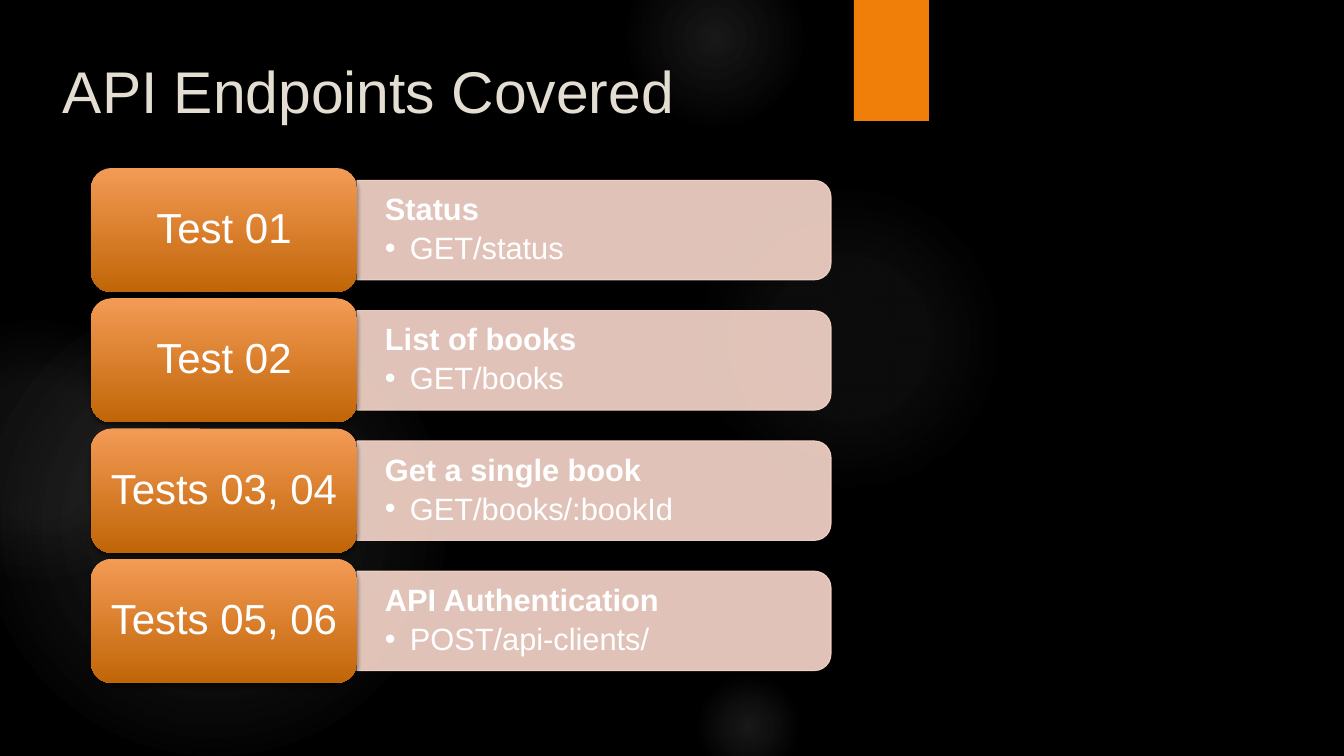
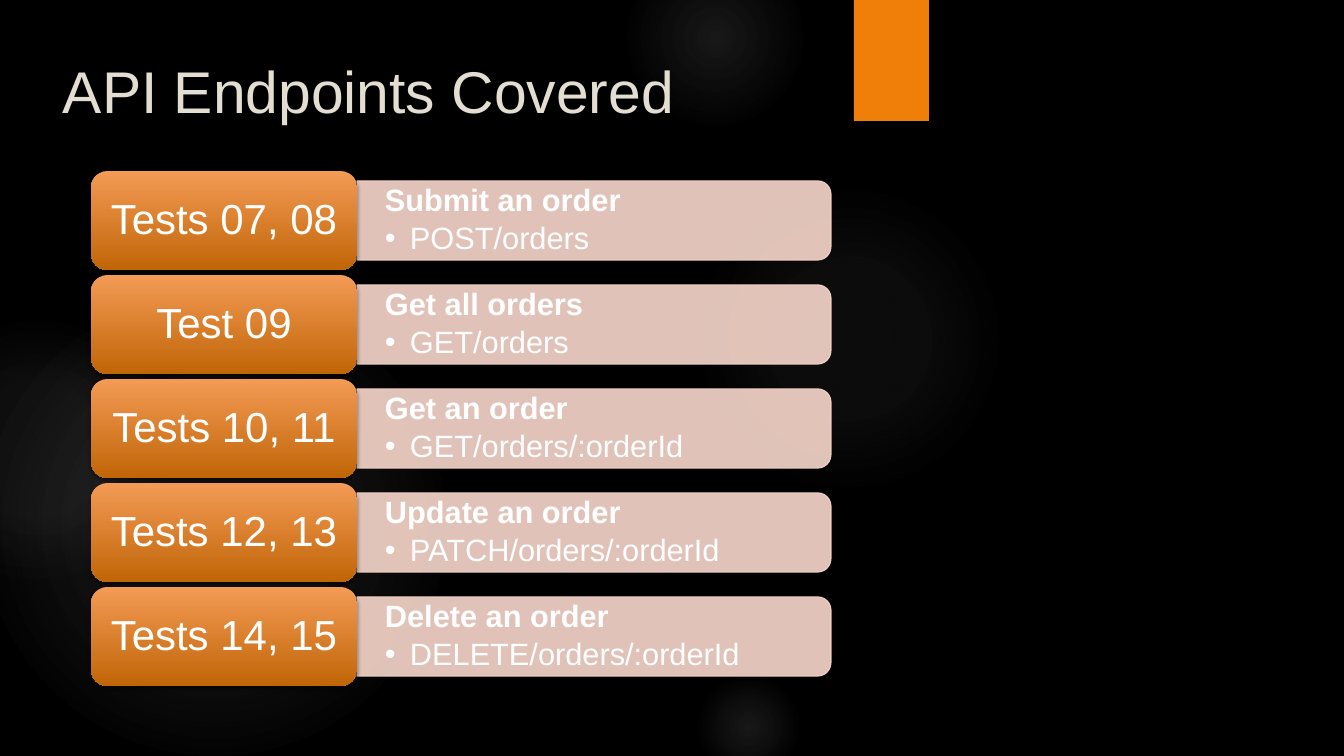
from dataclasses import dataclass

from lxml import etree
from pptx import Presentation
from pptx.dml.color import RGBColor
from pptx.enum.shapes import MSO_SHAPE
from pptx.enum.text import MSO_ANCHOR, PP_ALIGN
from pptx.oxml.ns import qn
from pptx.shapes.autoshape import Shape
from pptx.slide import Slide
from pptx.text.text import TextFrame, _Paragraph
from pptx.util import Emu, Pt

ELLIPSE = MSO_SHAPE.OVAL
RECTANGLE = MSO_SHAPE.RECTANGLE
ROUNDED = MSO_SHAPE.ROUNDED_RECTANGLE
ROUNDED_TOP = MSO_SHAPE.ROUND_2_SAME_RECTANGLE
TOP = MSO_ANCHOR.TOP
MIDDLE = MSO_ANCHOR.MIDDLE
LEFT = PP_ALIGN.LEFT
CENTER = PP_ALIGN.CENTER
EMU_PER_PX = 914400 / 100.8


@dataclass(frozen=True)
class Theme:
    font: str = "Arial"
    background: str = "000000"
    glow: str = "ADADAD"
    accent: str = "F07F09"
    title: str = "E3DED1"
    panel: str = "F9D8CC"
    badge_top: str = "F39A55"
    badge_bottom: str = "C16607"
    text: str = "FFFFFF"
    shadow: str = "000000"
    title_size: int = 42
    badge_size: int = 30
    panel_size: int = 22


@dataclass(frozen=True)
class Box:
    left: float
    top: float
    width: float
    height: float

    def emu(self) -> tuple[Emu, Emu, Emu, Emu]:
        return px(self.left), px(self.top), px(self.width), px(self.height)


@dataclass(frozen=True)
class Stop:
    percent: int
    color: str
    opacity: int = 100


@dataclass(frozen=True)
class Glow:
    left: int
    top: int
    size: int
    center_opacity: int
    middle_opacity: int
    fade_end: int


@dataclass(frozen=True)
class Endpoint:
    tests: str
    name: str
    request: str


@dataclass(frozen=True)
class EndpointPage:
    top: int
    gap: int
    endpoints: tuple[Endpoint, ...]


THEME = Theme()
SLIDE = Box(0, 0, 1344, 756)
TITLE = "API Endpoints Covered"
TITLE_BOX = Box(53, 50, 778, 154)
ACCENT_BAND = Box(854, 0, 75, 121)
LIST_HEIGHT = 515
BADGE_LEFT, BADGE_WIDTH = 91, 266
PANEL_LEFT, PANEL_WIDTH = 357, 474
PANEL_RATIO = 0.8
PANEL_INSET = 28
BULLET_INDENT = 25
PANEL_OPACITY = 90

GLOWS = (
    Glow(694, 184, 310, 7, 6, 69),
    Glow(627, -50, 176, 14, 7, 73),
    Glow(694, 672, 109, 14, 7, 66),
    Glow(-17, 294, 462, 11, 10, 75),
    Glow(-93, 320, 260, 8, 8, 72),
)

PAGES = (
    EndpointPage(168, 6, (
        Endpoint("Test 01", "Status", "GET/status"),
        Endpoint("Test 02", "List of books", "GET/books"),
        Endpoint("Tests 03, 04", "Get a single book", "GET/books/:bookId"),
        Endpoint("Tests 05, 06", "API Authentication", "POST/api-clients/"),
    )),
    EndpointPage(171, 5, (
        Endpoint("Tests 07, 08", "Submit an order", "POST/orders"),
        Endpoint("Test 09", "Get all orders", "GET/orders"),
        Endpoint("Tests 10, 11", "Get an order", "GET/orders/:orderId"),
        Endpoint("Tests 12, 13", "Update an order", "PATCH/orders/:orderId"),
        Endpoint("Tests 14, 15", "Delete an order", "DELETE/orders/:orderId"),
    )),
)


def px(length: float) -> Emu:
    return Emu(round(length * EMU_PER_PX))


def rgb(color: str) -> RGBColor:
    return RGBColor.from_string(color)


def add_color(parent: etree._Element, color: str, opacity: int) -> None:
    node = etree.SubElement(parent, qn("a:srgbClr"), val=color)
    if opacity < 100:
        etree.SubElement(node, qn("a:alpha"), val=str(opacity * 1000))


def add_plain_shape(slide: Slide, preset: MSO_SHAPE, box: Box) -> Shape:
    shape = slide.shapes.add_shape(preset, *box.emu())
    shape.shadow.inherit = False
    shape.fill.background()
    shape.line.fill.background()
    return shape


def fill_gradient(shape: Shape, stops: tuple[Stop, ...], radial: bool) -> None:
    properties = shape.element.spPr
    gradient = etree.Element(qn("a:gradFill"), rotWithShape="1")
    stop_list = etree.SubElement(gradient, qn("a:gsLst"))
    for stop in stops:
        node = etree.SubElement(stop_list, qn("a:gs"), pos=str(stop.percent * 1000))
        add_color(node, stop.color, stop.opacity)
    if radial:
        center = etree.SubElement(gradient, qn("a:path"), path="circle")
        sides = dict.fromkeys("ltrb", "50000")
        etree.SubElement(center, qn("a:fillToRect"), sides)
    else:
        etree.SubElement(gradient, qn("a:lin"), ang="5400000", scaled="0")
    properties.replace(properties.find(qn("a:noFill")), gradient)


def add_drop_shadow(shape: Shape) -> None:
    effects = shape.element.spPr.find(qn("a:effectLst"))
    shadow = etree.SubElement(
        effects, qn("a:outerShdw"), blurRad=str(Pt(3)), dist=str(Pt(2)),
        dir="5400000", rotWithShape="0",
    )
    add_color(shadow, THEME.shadow, 45)


def set_frame(frame: TextFrame, anchor: MSO_ANCHOR, side: int, edge: int) -> None:
    frame.word_wrap = True
    frame.vertical_anchor = anchor
    frame.margin_left = frame.margin_right = px(side)
    frame.margin_top = frame.margin_bottom = px(edge)


def write(paragraph: _Paragraph, text: str, size: int, color: str,
          align: PP_ALIGN = LEFT, bold: bool = False, spacing: float = 1.0) -> None:
    paragraph.text = text
    paragraph.alignment = align
    paragraph.line_spacing = spacing
    paragraph.font.name = THEME.font
    paragraph.font.size = Pt(size)
    paragraph.font.bold = bold
    paragraph.font.color.rgb = rgb(color)


def add_bullet(paragraph: _Paragraph) -> None:
    properties = paragraph._p.get_or_add_pPr()
    properties.set("marL", str(px(BULLET_INDENT)))
    properties.set("indent", str(-px(BULLET_INDENT)))
    etree.SubElement(properties, qn("a:buFont"), typeface=THEME.font)
    etree.SubElement(properties, qn("a:buChar"), char="•")


def draw_backdrop(slide: Slide) -> None:
    background = slide.background.fill
    background.solid()
    background.fore_color.rgb = rgb(THEME.background)
    for glow in GLOWS:
        halo = add_plain_shape(slide, ELLIPSE, Box(glow.left, glow.top, glow.size, glow.size))
        fill_gradient(halo, (
            Stop(0, THEME.glow, glow.center_opacity),
            Stop(36, THEME.glow, glow.middle_opacity),
            Stop(glow.fade_end, THEME.glow, 0),
        ), radial=True)
    band = add_plain_shape(slide, RECTANGLE, ACCENT_BAND)
    band.fill.solid()
    band.fill.fore_color.rgb = rgb(THEME.accent)
    add_drop_shadow(band)


def draw_title(slide: Slide) -> None:
    frame = slide.shapes.add_textbox(*TITLE_BOX.emu()).text_frame
    set_frame(frame, TOP, 10, 5)
    write(frame.paragraphs[0], TITLE, THEME.title_size, THEME.title)


def draw_panel(slide: Slide, endpoint: Endpoint, box: Box) -> None:
    upright = Box(
        box.left + (box.width - box.height) / 2,
        box.top + (box.height - box.width) / 2,
        box.height, box.width,
    )
    panel = add_plain_shape(slide, ROUNDED_TOP, upright)
    panel.rotation = 90
    panel.fill.solid()
    panel.fill.fore_color.rgb = rgb(THEME.panel)
    panel.line.color.rgb = rgb(THEME.panel)
    panel.line.width = Pt(0.75)
    for color in panel.element.spPr.iter(qn("a:srgbClr")):
        etree.SubElement(color, qn("a:alpha"), val=str(PANEL_OPACITY * 1000))

    frame = slide.shapes.add_textbox(*box.emu()).text_frame
    set_frame(frame, MIDDLE, PANEL_INSET, 0)
    name = frame.paragraphs[0]
    write(name, endpoint.name, THEME.panel_size, THEME.text, bold=True, spacing=0.9)
    name.space_after = Pt(4)
    request = frame.add_paragraph()
    add_bullet(request)
    write(request, endpoint.request, THEME.panel_size, THEME.text, spacing=0.9)


def draw_badge(slide: Slide, tests: str, box: Box) -> None:
    badge = add_plain_shape(slide, ROUNDED, box)
    fill_gradient(badge, (Stop(0, THEME.badge_top), Stop(100, THEME.badge_bottom)), radial=False)
    add_drop_shadow(badge)
    set_frame(badge.text_frame, MIDDLE, 10, 6)
    write(badge.text_frame.paragraphs[0], tests, THEME.badge_size, THEME.text,
          align=CENTER, spacing=0.9)


def draw_endpoints(slide: Slide, page: EndpointPage) -> None:
    count = len(page.endpoints)
    badge_height = (LIST_HEIGHT - page.gap * (count - 1)) / count
    panel_height = badge_height * PANEL_RATIO
    for row, endpoint in enumerate(page.endpoints):
        top = page.top + row * (badge_height + page.gap)
        panel_top = top + (badge_height - panel_height) / 2
        draw_panel(slide, endpoint, Box(PANEL_LEFT, panel_top, PANEL_WIDTH, panel_height))
        draw_badge(slide, endpoint.tests, Box(BADGE_LEFT, top, BADGE_WIDTH, badge_height))


def main() -> None:
    deck = Presentation()
    deck.slide_width, deck.slide_height = px(SLIDE.width), px(SLIDE.height)
    blank = deck.slide_layouts[6]
    for page in PAGES:
        slide = deck.slides.add_slide(blank)
        draw_backdrop(slide)
        draw_title(slide)
        draw_endpoints(slide, page)
    deck.save("out.pptx")


if __name__ == "__main__":
    main()
